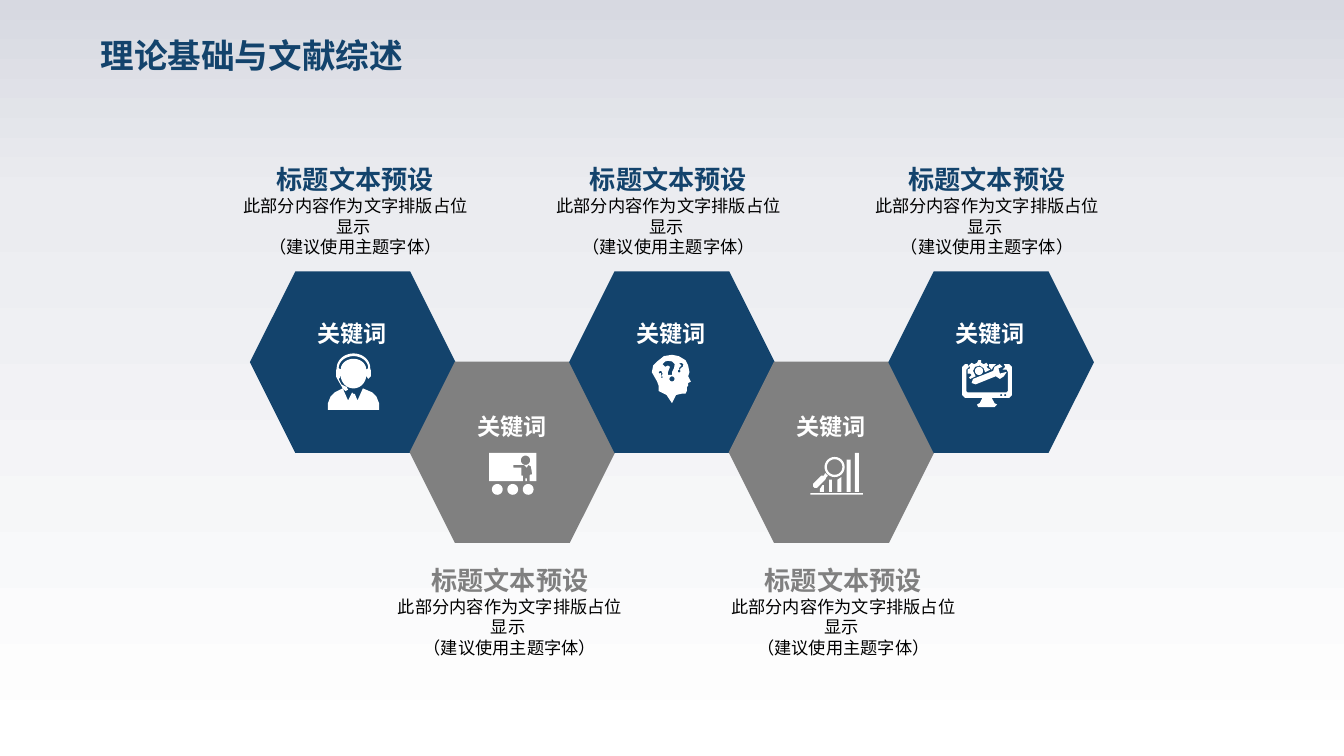
from copy import deepcopy
from dataclasses import dataclass
from math import cos, radians, sin

from pptx import Presentation
from pptx.dml.color import RGBColor
from pptx.enum.shapes import MSO_SHAPE
from pptx.enum.text import MSO_ANCHOR, PP_ALIGN
from pptx.oxml.ns import qn
from pptx.util import Inches, Pt

HEXAGON = MSO_SHAPE.HEXAGON
TOP, MIDDLE = MSO_ANCHOR.TOP, MSO_ANCHOR.MIDDLE
LEFT, CENTER = PP_ALIGN.LEFT, PP_ALIGN.CENTER

Point = tuple[float, float]
Ring = list[Point]


@dataclass(frozen=True)
class Theme:
    font: str = "Arial"
    navy: str = "13436C"
    gray: str = "808080"
    white: str = "FFFFFF"
    black: str = "000000"
    backdrop: tuple = ((0, "D7D9E1"), (0.26, "EBECF0"), (1, "FFFFFF"))
    title: float = 18
    heading: float = 14
    keyword: float = 12.4
    body: float = 9.2


@dataclass(frozen=True)
class Card:
    text_left: float
    icon_at: Point
    icon: list[Ring]


THEME = Theme()
HEX_W, HEX_H = 1.53, 1.35
HEX_FIRST, HEX_LAST = 1.86, 6.61
TEXT_W = 1.67


# Icon outlines, in hundredths of an inch from the icon's corner
def arc(cx: float, cy: float, rx: float, ry: float,
        start: float = 0, end: float = 360, steps: int = 24) -> Ring:
    angles = [radians(start + (end - start) * i / steps) for i in range(steps + 1)]
    return [(cx + rx * cos(a), cy + ry * sin(a)) for a in angles]


def disc(cx: float, cy: float, radius: float) -> Ring:
    return arc(cx, cy, radius, radius)


def box(left: float, top: float, right: float, bottom: float) -> Ring:
    return [(left, top), (right, top), (right, bottom), (left, bottom)]


AGENT = [
    [(11, 26), (15, 35), (18, 29), (19, 30), (20, 30), (22, 35), (26, 26),
     (33, 29), (36, 32), (38, 37), (38, 42), (0, 42), (0, 37), (2, 32), (5, 29)],
    arc(19, 11, 11, 9, 180, 360) + arc(19, 12, 9.5, 8, 360, 180),
    arc(19, 11, 12.5, 11, 180, 360)
    + [(32, 13), (32, 17), (30, 19), (28, 16)] + arc(19, 16, 9.5, 10, 0, 180)
    + [(9, 18), (8, 19), (10, 23), (14, 25), (15, 27), (13, 28), (11, 26),
       (7, 19), (6, 17), (6, 13)],
]
THINKER = [
    [(15, 0), (20, 1), (25, 4), (27, 8), (28, 13), (27, 16), (29, 20), (27, 21),
     (27, 23), (26, 24), (26, 27), (25, 29), (22, 29), (18, 30), (15, 36),
     (11, 30), (5, 27), (5, 23), (4, 20), (0, 13), (1, 8), (4, 5), (9, 1)],
    disc(15, 18, 1.9),
    [(8, 7), (10, 5), (12, 4.5), (15, 5), (17, 7), (16.5, 10), (15, 13),
     (15, 15), (12, 15), (12, 13), (13.5, 9), (12, 8), (10, 9)],
    disc(20.3, 12.2, 1),
    [(20, 6.5), (22, 6), (23.5, 7), (23, 9), (21.5, 10), (21, 11.2), (20, 11),
     (20.5, 9.5), (22, 8), (21, 7)],
    disc(7.5, 16.7, 0.6),
    [(5, 13), (6, 12), (7, 12), (8, 14), (7.5, 15.5), (7, 15.5), (7, 13.5), (5.5, 14)],
]
REPAIR = [
    [(2, 3), (4, 3), (5, 5), (3, 7), (3, 23), (4, 24), (33, 24), (34, 23),
     (34, 9), (33, 7), (30, 7), (32, 5), (31, 3), (35, 3), (37, 5), (37, 26),
     (35, 28), (22, 28), (24, 32), (26, 33), (24, 35), (12, 35), (11, 33),
     (13, 32), (15, 28), (2, 28), (0, 26), (0, 5)],
    disc(29, 26, 0.8), disc(32, 26, 0.8),
    [(28, 3), (30, 5), (27, 6), (28, 10), (32, 9), (33, 9), (31, 12), (28, 14),
     (25, 12), (10, 18), (7, 17), (8, 14), (23, 8), (24, 5), (26, 4)],
    disc(12.5, 8, 3),
    [(12, 0), (14, 0), (14, 2), (16, 3), (18, 2), (19.5, 4), (18, 5), (19, 6),
     (21, 7), (17, 9), (16, 6), (13, 4), (9.5, 5), (8, 8), (10, 12), (6, 14),
     (5, 13), (7, 11), (6, 10), (4, 10), (4, 7), (6, 6), (5, 4), (7, 2), (9, 3), (11, 2)],
    [(20, 3), (25, 3), (23, 5), (22, 7), (20, 5)],
]
ANALYSIS = [
    box(0, 30, 39, 31),
    [(9, 24), (10, 24), (10, 29), (7, 29), (7, 27)],
    box(14, 20, 16, 29),
    [(20, 20), (23, 18), (23, 29), (20, 29)],
    box(27, 5, 30, 29), box(33, 0, 36, 29),
    disc(18, 10.5, 7.5), disc(18, 10.5, 5.8),
    [(11, 15), (13, 17), (12, 18), (11, 20), (5, 26), (3, 26), (2, 25), (2, 23),
     (8, 17), (10, 17)],
]
TEACHING = [
    *[disc(x, 27.2, 4) for x in (6, 17.5, 29)],
    box(27, 19, 28, 21),
    disc(27, 5.5, 3.5),
    [(0, 0), (35, 0), (35, 21), (30, 21), (30, 17), (31, 16), (32, 16), (31, 10),
     (29, 9), (28, 11), (26, 9), (18, 9), (18, 11), (24, 11), (24, 17), (25, 17),
     (25, 21), (0, 21)],
]

# Cards from left to right; they alternate between the upper and lower row
CARDS = [
    Card(1.81, (2.44, 2.63), AGENT),
    Card(2.96, (3.64, 3.37), TEACHING),
    Card(4.14, (4.85, 2.64), THINKER),
    Card(5.44, (6.03, 3.37), ANALYSIS),
    Card(6.51, (7.16, 2.68), REPAIR),
]
HEX_STEP = (HEX_LAST - HEX_FIRST) / (len(CARDS) - 1)


def add_text(s, text: str, left: float, top: float, width: float, height: float, *,
             size: float, color: str, bold: bool = False, align=CENTER, anchor=TOP,
             wrap: bool = False, side: float = 0, edge: float = 0) -> None:
    sp = s.shapes.add_textbox(Inches(left), Inches(top), Inches(width), Inches(height))
    tf = sp.text_frame
    tf.word_wrap = wrap
    tf.vertical_anchor = anchor
    tf.margin_left = tf.margin_right = Inches(side)
    tf.margin_top = tf.margin_bottom = Inches(edge)
    p = tf.paragraphs[0]
    p.alignment = align
    for i, line in enumerate(text.split("\n")):
        if i:
            p.add_line_break()
        r = p.add_run()
        r.text = line
        r.font.name = THEME.font
        r.font.size = Pt(size)
        r.font.bold = bold
        r.font.color.rgb = RGBColor.from_string(color)


def paint(sp, color: str) -> None:
    sp.shadow.inherit = False
    sp.fill.solid()
    sp.fill.fore_color.rgb = RGBColor.from_string(color)
    sp.line.fill.background()


def add_icon(s, rings: list[Ring], at: Point) -> None:
    placed = [[(Inches(at[0] + x / 100), Inches(at[1] + y / 100)) for x, y in ring]
              for ring in rings]
    builder = s.shapes.build_freeform(*placed[0][0])
    for i, ring in enumerate(placed):
        if i:
            builder.move_to(*ring[0])
        builder.add_line_segments(ring[1:], close=True)
    paint(builder.convert_to_shape(), THEME.white)


def add_card(s, card: Card, index: int) -> None:
    upper = index % 2 == 0
    color = THEME.navy if upper else THEME.gray
    left = HEX_FIRST + index * HEX_STEP
    top, keyword_top, text_top = (2.02, 2.33, 1.22) if upper else (2.69, 3.02, 4.2)
    sp = s.shapes.add_shape(HEXAGON, Inches(left), Inches(top), Inches(HEX_W), Inches(HEX_H))
    paint(sp, color)
    add_text(s, "关键词", left + 0.43, keyword_top, 0.66, 0.28,
             size=THEME.keyword, color=THEME.white, bold=True, edge=0.05)
    add_icon(s, card.icon, card.icon_at)
    add_text(s, "标题文本预设", card.text_left, text_top, TEXT_W, 0.23,
             size=THEME.heading, color=color, bold=True, anchor=MIDDLE)
    add_text(s, "此部分内容作为文字排版占位显示 \n（建议使用主题字体）",
             card.text_left, text_top + 0.23, TEXT_W, 0.47, size=THEME.body,
             color=THEME.black, anchor=MIDDLE, wrap=True)


def set_backdrop(s) -> None:
    fill = s.background.fill
    fill.gradient()
    fill.gradient_angle = 270
    stops = s.element.find(".//" + qn("a:gsLst"))
    stops.insert(1, deepcopy(stops[0]))
    for stop, (position, color) in zip(fill.gradient_stops, THEME.backdrop):
        stop.position = position
        stop.color.rgb = RGBColor.from_string(color)


def main() -> None:
    prs = Presentation()
    prs.slide_width = Inches(10)
    prs.slide_height = prs.slide_width * 9 // 16
    s = prs.slides.add_slide(prs.slide_layouts[6])
    set_backdrop(s)
    add_text(s, "理论基础与文献综述", 0.65, 0.21, 2.47, 0.4, size=THEME.title,
             color=THEME.navy, bold=True, align=LEFT, side=0.1, edge=0.05)
    for index, card in enumerate(CARDS):
        add_card(s, card, index)
    prs.save("out.pptx")


if __name__ == "__main__":
    main()
